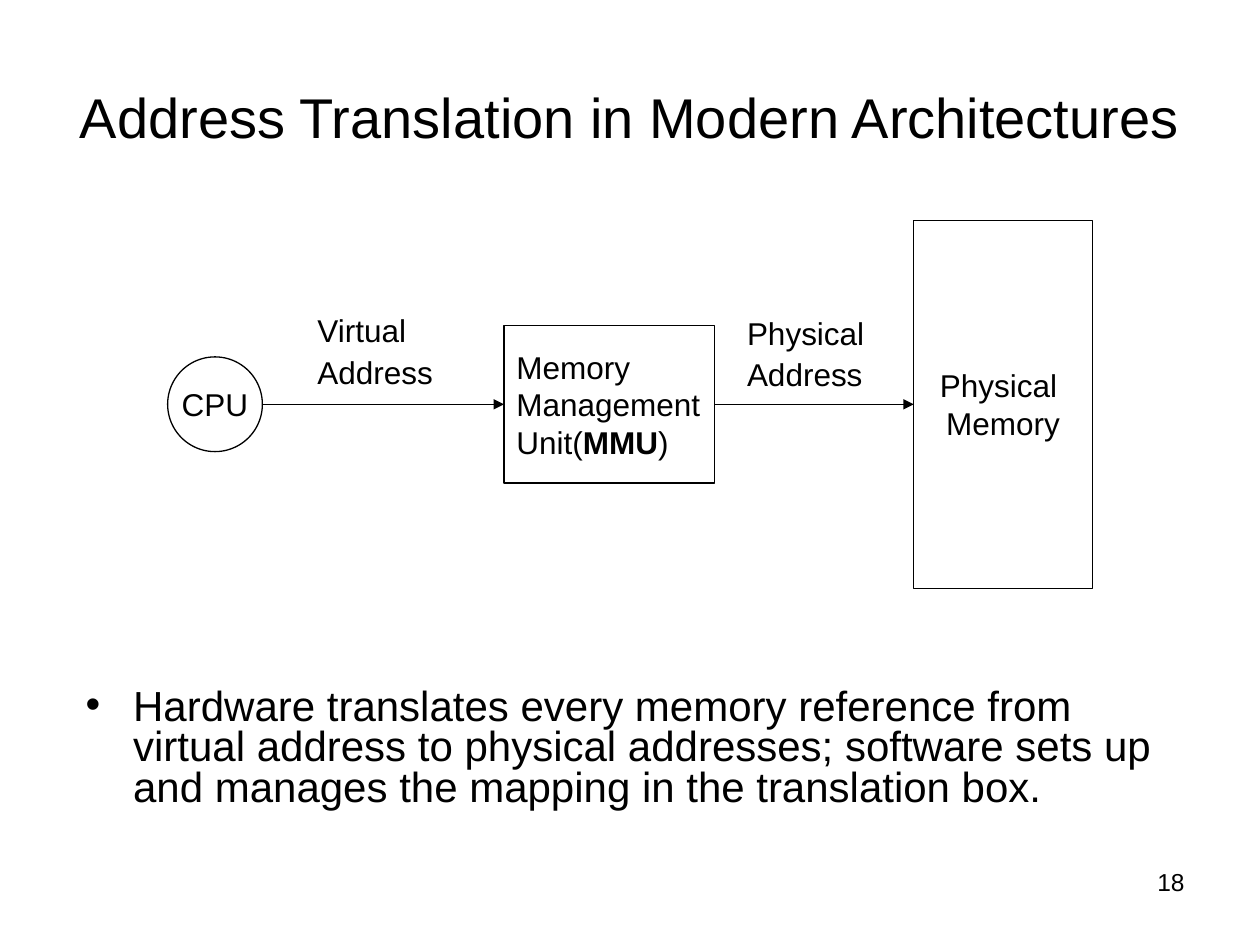
from lxml.etree import SubElement
from pptx import Presentation
from pptx.dml.color import RGBColor
from pptx.enum.shapes import MSO_CONNECTOR, MSO_SHAPE
from pptx.enum.text import MSO_ANCHOR, MSO_AUTO_SIZE, PP_ALIGN
from pptx.oxml.ns import qn
from pptx.util import Cm, Pt

BLACK = RGBColor(0, 0, 0)
FONT = "Arial"
AXIS = 8.15


def add_run(p, text, size, bold=False):
    r = p.add_run()
    r.text = text
    r.font.name = FONT
    r.font.size = Pt(size)
    r.font.bold = bold
    r.font.color.rgb = BLACK


def place(sp, left, top, width, height):
    sp.left, sp.top, sp.width, sp.height = Cm(left), Cm(top), Cm(width), Cm(height)
    tf = sp.text_frame
    tf.word_wrap = True
    tf.auto_size = MSO_AUTO_SIZE.NONE
    return tf


prs = Presentation()
prs.slide_width, prs.slide_height = Cm(25.4), Cm(19.05)
s = prs.slides.add_slide(prs.slide_layouts[1])

tf = place(s.shapes.title, 1.27, 0.76, 22.86, 3.18)
tf.vertical_anchor = MSO_ANCHOR.MIDDLE
p = tf.paragraphs[0]
p.alignment = PP_ALIGN.CENTER
add_run(p, "Address Translation in Modern Architectures", 32)

tf = place(s.placeholders[1], 1.47, 13.77, 22.86, 3.18)
p = tf.paragraphs[0]
p.line_spacing = 0.8
p.space_before = Pt(6)
pPr = p._p.get_or_add_pPr()
pPr.set("marL", str(Cm(0.96)))
pPr.set("indent", str(Cm(-0.96)))
SubElement(pPr, qn("a:buChar")).set("char", "•")
add_run(p, "Hardware translates every memory reference from virtual address to "
           "physical addresses; software sets up and manages the mapping in the "
           "translation box.", 24)

blocks = [
    (MSO_SHAPE.OVAL, 3.38, 1.91, 1.91, PP_ALIGN.CENTER, [["CPU"]]),
    (MSO_SHAPE.RECTANGLE, 10.16, 4.24, 3.18, PP_ALIGN.LEFT,
     [["Memory"], ["Management"], ["Unit(", "MMU", ")"]]),
    (MSO_SHAPE.RECTANGLE, 18.42, 3.6, 7.42, PP_ALIGN.CENTER,
     [["Physical "], ["Memory"]]),
]
for kind, left, width, height, align, lines in blocks:
    sp = s.shapes.add_shape(kind, Cm(left), Cm(AXIS - height / 2), Cm(width), Cm(height))
    sp.shadow.inherit = False
    sp.fill.background()
    sp.line.color.rgb = BLACK
    sp.line.width = Pt(0.75)
    tf = sp.text_frame
    tf.word_wrap = False
    tf.vertical_anchor = MSO_ANCHOR.MIDDLE
    for i, line in enumerate(lines):
        p = tf.add_paragraph() if i else tf.paragraphs[0]
        p.alignment = align
        for text in line:
            add_run(p, text, 18, bold=text == "MMU")

for source, target in zip(blocks, blocks[1:]):
    c = s.shapes.add_connector(MSO_CONNECTOR.STRAIGHT, Cm(source[1] + source[2]),
                               Cm(AXIS), Cm(target[1]), Cm(AXIS))
    c.line.color.rgb = BLACK
    c.line.width = Pt(0.75)
    SubElement(c.line._get_or_add_ln(), qn("a:tailEnd")).set("type", "triangle")
    SubElement(c._element.spPr, qn("a:effectLst"))

labels = [("Virtual", 6.15, 6.15, 3.38), ("Physical", 14.81, 6.2, 3.18)]
for name, left, top, width in labels:
    sp = s.shapes.add_textbox(Cm(left), Cm(top), Cm(width), Cm(1.85))
    tf = sp.text_frame
    tf.word_wrap = True
    tf.auto_size = MSO_AUTO_SIZE.SHAPE_TO_FIT_TEXT
    for i, text in enumerate([name, "Address"]):
        p = tf.add_paragraph() if i else tf.paragraphs[0]
        p.space_before = Pt(2.2)
        add_run(p, text, 18)

sp = s.shapes.add_textbox(Cm(18.21), Cm(17.35), Cm(5.92), Cm(1.32))
tf = sp.text_frame
tf.word_wrap = True
p = tf.paragraphs[0]
p.alignment = PP_ALIGN.RIGHT
add_run(p, "18", 14)

prs.save("out.pptx")
